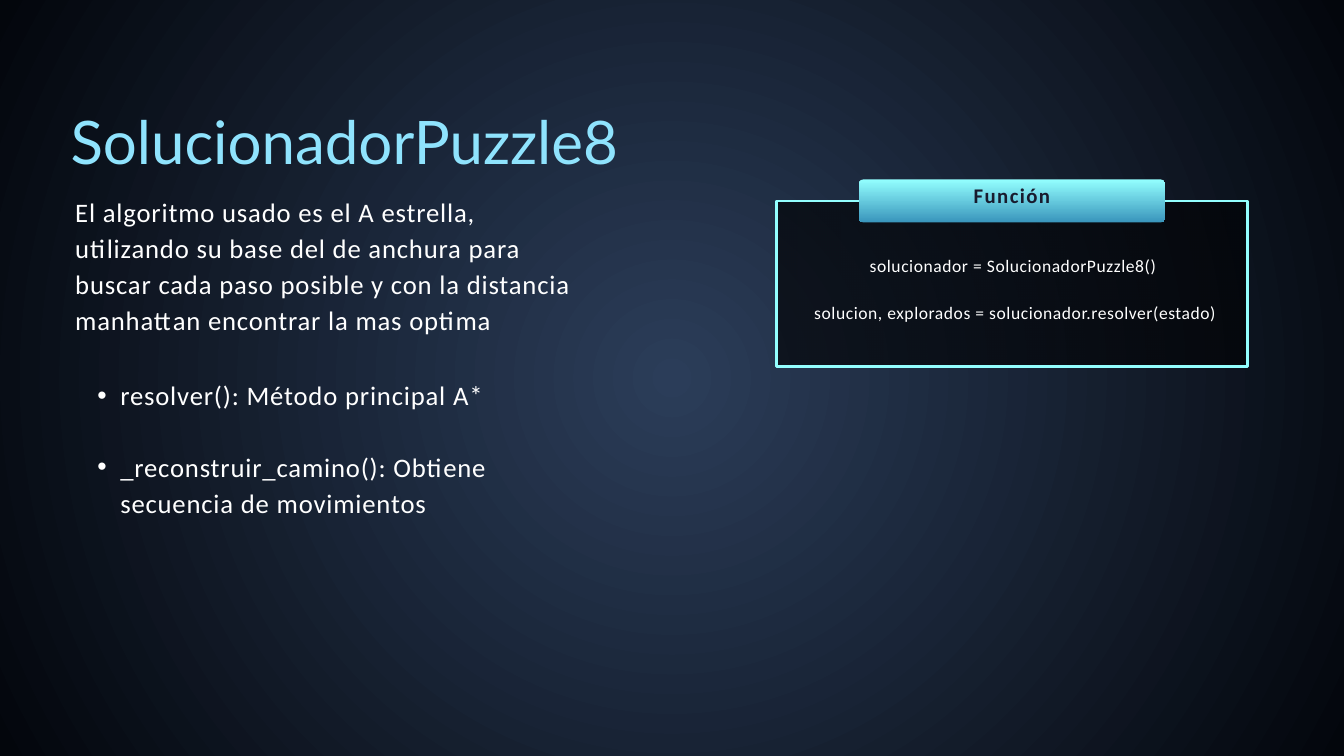
from lxml.etree import SubElement
from pptx import Presentation
from pptx.dml.color import RGBColor as RGB
from pptx.enum.shapes import MSO_SHAPE as SHAPE
from pptx.enum.text import MSO_ANCHOR as ANCHOR, PP_ALIGN as ALIGN
from pptx.oxml.ns import qn
from pptx.util import Inches, Pt

COLORS = {
    "title": "8FE3FD", "text": "FFFFFF", "dark": "181B2E",
    "glow": "2B3D59", "night": "03060C",
    "panel_left": "000102", "panel_right": "000000",
    "cyan": "93FFFF", "blue": "3995BC",
}


def color(name):
    return RGB.from_string(COLORS[name])


def set_gradient(parent, stops, angle=None):
    """Swap the solid fill for stops of (colour, opacity %); radial without an angle."""
    grad = parent.makeelement(qn("a:gradFill"), {"rotWithShape": "1"})
    parent.replace(parent.find(qn("a:solidFill")), grad)
    stop_list = SubElement(grad, qn("a:gsLst"))
    for i, (name, opacity) in enumerate(stops):
        stop = SubElement(stop_list, qn("a:gs"), pos=str(i * 100000))
        clr = SubElement(stop, qn("a:srgbClr"), val=COLORS[name])
        if opacity < 100:
            SubElement(clr, qn("a:alpha"), val=str(opacity * 1000))
    if angle is None:
        circle = SubElement(grad, qn("a:path"), path="circle")
        SubElement(circle, qn("a:fillToRect"), l="50000", t="50000", r="50000", b="50000")
    else:
        SubElement(grad, qn("a:lin"), ang=str(angle * 60000), scaled="0")


def add_panel(s, kind, box, stops, angle, line=None):
    sp = s.shapes.add_shape(kind, *map(Inches, box))
    sp.shadow.inherit = False
    sp.fill.solid()
    set_gradient(sp._element.spPr, stops, angle)
    if line:
        sp.line.color.rgb = color(line)
        sp.line.width = Pt(3)
    else:
        sp.line.fill.background()
    return sp


def add_text(s, box, *paragraphs, size, leading, font="Calibri", fill="text", bold=False,
             tracking=0, align=ALIGN.LEFT, anchor=ANCHOR.TOP, gap=0, bullet=False):
    tf = s.shapes.add_textbox(*map(Inches, box)).text_frame
    tf.word_wrap = True
    tf.vertical_anchor = anchor
    tf.margin_left = tf.margin_right = tf.margin_top = tf.margin_bottom = 0
    for i, text in enumerate(paragraphs):
        p = tf.add_paragraph() if i else tf.paragraphs[0]
        p.alignment = align
        p.line_spacing = Pt(leading)
        if i:
            p.space_before = Pt(gap)
        if bullet:
            pPr = p._p.get_or_add_pPr()
            pPr.set("marL", str(Inches(0.67)))
            pPr.set("indent", str(Inches(-0.34)))
            SubElement(pPr, qn("a:buFont"), typeface="Arial")
            SubElement(pPr, qn("a:buChar"), char="•")
        r = p.add_run()
        r.text = text
        r.font.name, r.font.size, r.font.bold = font, Pt(size), bold
        r.font.color.rgb = color(fill)
        if tracking:
            r._r.get_or_add_rPr().set("spc", str(round(tracking * 100)))


def main():
    prs = Presentation()
    prs.slide_width, prs.slide_height = Inches(20), Inches(11.25)
    s = prs.slides.add_slide(prs.slide_layouts[6])

    # Background glow
    s.background.fill.solid()
    set_gradient(s._element.find(".//" + qn("p:bgPr")), [("glow", 100), ("night", 100)])

    # Title and explanation
    add_text(s, (1.05, 1.38, 10.94, 1.25), "SolucionadorPuzzle8",
             size=64.3, leading=90.1, font="Lato", fill="title")
    body = dict(size=28.6, leading=38.5, tracking=0.9)
    add_text(s, (1.12, 2.86, 7.5, 2.59),
             "El algoritmo usado es el A estrella, utilizando su base del de anchura para "
             "buscar cada paso posible y con la distancia manhattan encontrar la mas optima",
             **body)
    add_text(s, (1.12, 5.58, 7.5, 2.59),
             "resolver(): Método principal A*",
             "_reconstruir_camino(): Obtiene secuencia de movimientos",
             gap=body["leading"], bullet=True, **body)

    # Code panel with its tab
    add_panel(s, SHAPE.RECTANGLE, (11.56, 2.99, 7, 2.46),
              [("panel_left", 63), ("panel_right", 59)], 0, line="cyan")
    tab = add_panel(s, SHAPE.ROUNDED_RECTANGLE, (12.78, 2.67, 4.56, 0.64),
                    [("cyan", 100), ("blue", 100)], 90)
    tab.adjustments[0] = 0.11
    add_text(s, (12.78, 2.42, 4.56, 0.89), "Función", size=22.3, leading=31.3, fill="dark",
             bold=True, tracking=1.5, align=ALIGN.CENTER, anchor=ANCHOR.MIDDLE)
    add_text(s, (11.67, 3.75, 6.88, 1.02),
             "solucionador = SolucionadorPuzzle8() ",
             "solucion, explorados = solucionador.resolver(estado)",
             size=18.8, leading=25.3, tracking=0.6, align=ALIGN.CENTER, gap=25.3)

    prs.save("out.pptx")


if __name__ == "__main__":
    main()
